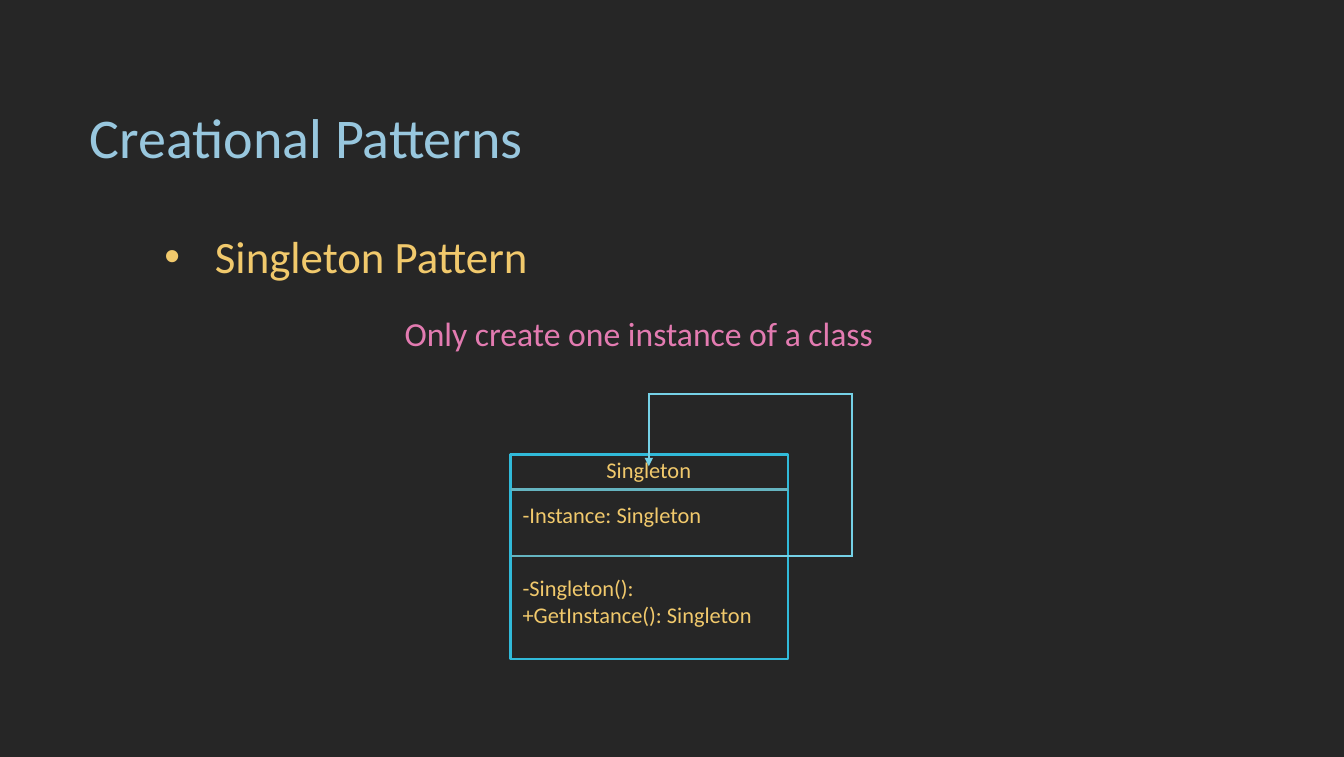
import pptx
import pptx.dml.color
import pptx.enum.shapes
import pptx.enum.text
import pptx.oxml.ns
import pptx.util
from lxml import etree
from pptx.util import Inches

COLORS = {
    "background": "262626", "title": "98C7DE", "pattern": "F1C96C", "purpose": "E37BB1",
    "frame": "31BAD9", "divider": "65B4C0", "reference": "75D1E6",
}
TITLE = "Creational Patterns"
PATTERN = "Singleton Pattern"
PURPOSE = "Only create one instance of a class"
CLASS_BOX = (5.06, 4.5, 2.75, 2.03)
DIVIDERS = [4.85, 5.51]
CLASS_SECTIONS = [
    (["Singleton"], (5.11, 4.47, 2.64, 0.33), "CENTER"),
    (["-Instance: Singleton"], (5.13, 4.92, 2.64, 0.33), "LEFT"),
    (["-Singleton():", "+GetInstance(): Singleton"], (5.13, 5.64, 2.64, 0.61), "LEFT"),
]
SELF_REFERENCE = [(6.44, 5.51), (8.44, 5.51), (8.44, 3.9), (6.43, 3.9), (6.43, 4.62)]


def rgb(name):
    return pptx.dml.color.RGBColor.from_string(COLORS[name])


def add_text(slide, lines, box, *, size, color, align="LEFT", wrap=True, bullet=False):
    frame = slide.shapes.add_textbox(*map(Inches, box)).text_frame
    frame.word_wrap = wrap
    frame.auto_size = pptx.enum.text.MSO_AUTO_SIZE.SHAPE_TO_FIT_TEXT
    frame.margin_left = frame.margin_right = Inches(0.05)
    frame.margin_top = frame.margin_bottom = Inches(0.05)
    for index, line in enumerate(lines):
        paragraph = frame.add_paragraph() if index else frame.paragraphs[0]
        paragraph.alignment = getattr(pptx.enum.text.PP_ALIGN, align)
        run = paragraph.add_run()
        run.text = line
        run.font.name = "Calibri"
        run.font.size = pptx.util.Pt(size)
        run.font.color.rgb = rgb(color)
        if bullet:
            paragraph.line_spacing = pptx.util.Pt(42)
            properties = paragraph._p.get_or_add_pPr()
            properties.set("marL", str(Inches(0.5)))
            properties.set("indent", str(Inches(-0.5)))
            etree.SubElement(properties, pptx.oxml.ns.qn("a:buFont"), typeface="Arial")
            etree.SubElement(properties, pptx.oxml.ns.qn("a:buChar"), char="•")


def style_line(line, color, width):
    line.color.rgb = rgb(color)
    line.width = pptx.util.Pt(width)


def add_class_box(slide):
    left, top, width, height = CLASS_BOX
    frame = slide.shapes.add_shape(
        pptx.enum.shapes.MSO_SHAPE.RECTANGLE, *map(Inches, CLASS_BOX))
    frame.shadow.inherit = False
    frame.fill.background()
    style_line(frame.line, "frame", 2)
    for y in DIVIDERS:
        divider = slide.shapes.add_connector(
            pptx.enum.shapes.MSO_CONNECTOR.STRAIGHT,
            Inches(left), Inches(y), Inches(left + width), Inches(y))
        style_line(divider.line, "divider", 1.5)
        etree.SubElement(divider._element.spPr, pptx.oxml.ns.qn("a:effectLst"))
    for lines, box, align in CLASS_SECTIONS:
        add_text(slide, lines, box, size=16, color="pattern", align=align)


def add_self_reference(slide):
    points = [(Inches(x), Inches(y)) for x, y in SELF_REFERENCE]
    builder = slide.shapes.build_freeform(*points[0])
    builder.add_line_segments(points[1:], close=False)
    reference = builder.convert_to_shape()
    reference.shadow.inherit = False
    reference.fill.background()
    style_line(reference.line, "reference", 1.5)
    outline = reference.line._get_or_add_ln()
    etree.SubElement(outline, pptx.oxml.ns.qn("a:miter"), lim="800000")
    etree.SubElement(outline, pptx.oxml.ns.qn("a:tailEnd"), type="triangle")


def main():
    """Build the Singleton pattern slide."""
    deck = pptx.Presentation()
    deck.slide_width, deck.slide_height = Inches(13.32), Inches(7.5)
    slide = deck.slides.add_slide(deck.slide_layouts[6])
    slide.background.fill.solid()
    slide.background.fill.fore_color.rgb = rgb("background")
    add_text(slide, [TITLE], (0.84, 0.97, 4.43, 0.66), size=40, color="title", wrap=False)
    add_text(slide, [PATTERN], (1.58, 2.17, 6.01, 0.68), size=32, color="pattern", bullet=True)
    add_text(slide, [PURPOSE], (3.96, 3.05, 4.76, 0.43), size=24, color="purpose", wrap=False)
    add_class_box(slide)
    add_self_reference(slide)
    deck.save("out.pptx")


if __name__ == "__main__":
    main()
